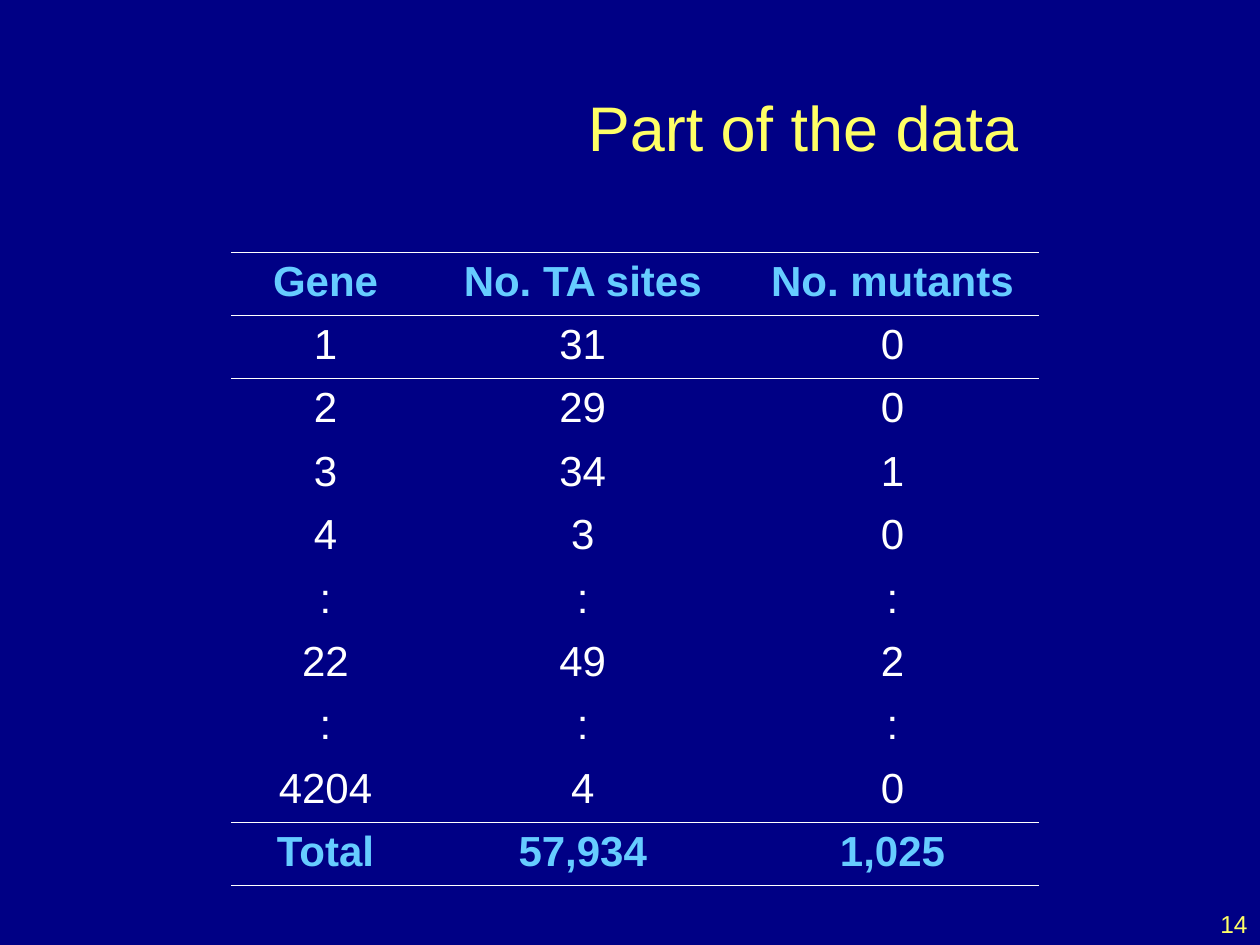
import pptx
import pptx.util
import pptx.dml.color
import pptx.enum.text
import pptx.oxml
import pptx.oxml.ns

Pt = pptx.util.Pt
RGB = pptx.dml.color.RGBColor
ALIGN = pptx.enum.text.PP_ALIGN
ANCHOR = pptx.enum.text.MSO_ANCHOR

NAVY = RGB(0x00, 0x00, 0x85)
YELLOW = RGB(0xFF, 0xFF, 0x66)
SKY = RGB(0x66, 0xCC, 0xFF)
WHITE = RGB(0xFF, 0xFF, 0xFF)

PLAIN = "{2D5ABB26-0587-4C30-8999-92F81FD0307C}"  # no style, no grid
COLS = [108, 186, 168]
ROW = 36.2
DATA = [
    ("Gene", "No. TA sites", "No. mutants"),
    ("1", "31", "0"),
    ("2", "29", "0"),
    ("3", "34", "1"),
    ("4", "3", "0"),
    (":", ":", ":"),
    ("22", "49", "2"),
    (":", ":", ":"),
    ("4204", "4", "0"),
    ("Total", "57,934", "1,025"),
]


def write(frame, text, size=24, color=WHITE, bold=False,
          align=ALIGN.CENTER, anchor=ANCHOR.TOP):
    """Fill a text frame with one formatted paragraph."""
    frame.word_wrap = True
    frame.vertical_anchor = anchor
    para = frame.paragraphs[0]
    para.text = text
    para.alignment = align
    font = para.font
    font.name, font.size, font.bold = "Arial", Pt(size), bold
    font.color.rgb = color


def place(shape, left, top, width, height):
    shape.left, shape.top = Pt(left), Pt(top)
    shape.width, shape.height = Pt(width), Pt(height)


def rule(cell, sides):
    """Draw thin white borders on the given sides, T before B."""
    props = cell._tc.get_or_add_tcPr()
    for side in sides:
        props.append(pptx.oxml.parse_xml(
            f'<a:ln{side} {pptx.oxml.ns.nsdecls("a")} w="{Pt(0.45)}">'
            f'<a:solidFill><a:srgbClr val="{WHITE}"/></a:solidFill>'
            f'</a:ln{side}>'))


def add_grid(slide, left, top):
    last = len(DATA) - 1
    frame = slide.shapes.add_table(
        len(DATA), len(COLS), Pt(left), Pt(top),
        Pt(sum(COLS)), Pt(ROW * len(DATA)))
    table = frame.table
    table.first_row = table.horz_banding = False
    table._tbl.tblPr.find(pptx.oxml.ns.qn("a:tableStyleId")).text = PLAIN
    for col, width in zip(table.columns, COLS):
        col.width = Pt(width)
    edges = {0: "TB", 1: "T", last - 1: "B", last: "TB"}
    for i, row in enumerate(DATA):
        table.rows[i].height = Pt(ROW)
        key = i in (0, last)
        for j, text in enumerate(row):
            cell = table.cell(i, j)
            rule(cell, edges.get(i, ""))
            cell.fill.background()
            write(cell.text_frame, text, bold=key,
                  color=SKY if key else WHITE)


def main():
    deck = pptx.Presentation()
    deck.slide_width, deck.slide_height = Pt(720), Pt(540)
    slide = deck.slides.add_slide(deck.slide_layouts[5])
    fill = slide.background.fill
    fill.solid()
    fill.fore_color.rgb = NAVY

    # Title
    title = slide.shapes.title
    place(title, 198, 18, 522, 108)
    write(title.text_frame, "Part of the data", size=36, color=YELLOW,
          anchor=ANCHOR.MIDDLE)

    # Table of genes
    add_grid(slide, 132, 144)

    # Page number
    page = slide.shapes.add_textbox(Pt(570), Pt(504), Pt(150), Pt(36))
    write(page.text_frame, "14", size=14, color=YELLOW,
          align=ALIGN.RIGHT, anchor=ANCHOR.BOTTOM)

    deck.save("out.pptx")


if __name__ == "__main__":
    main()
